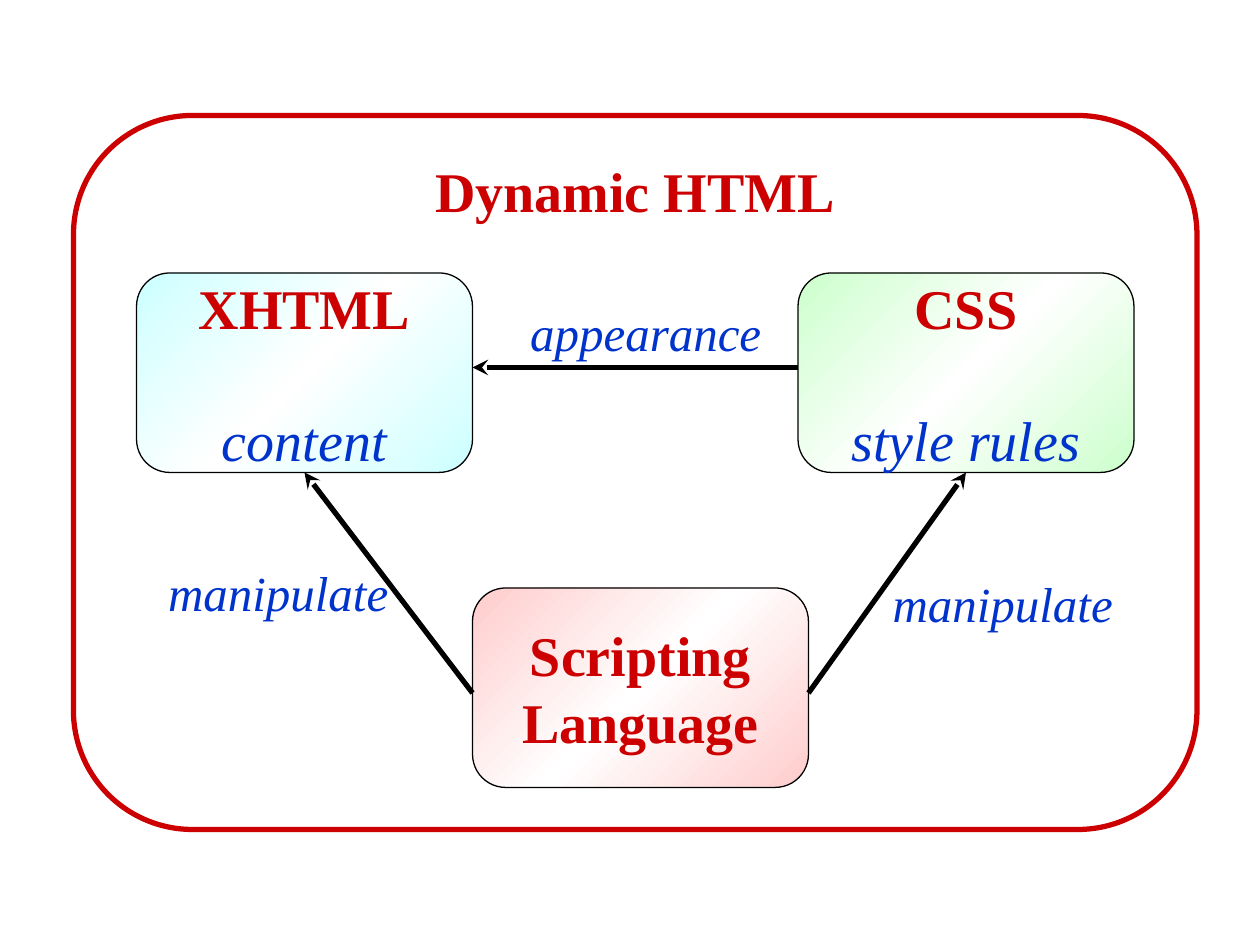
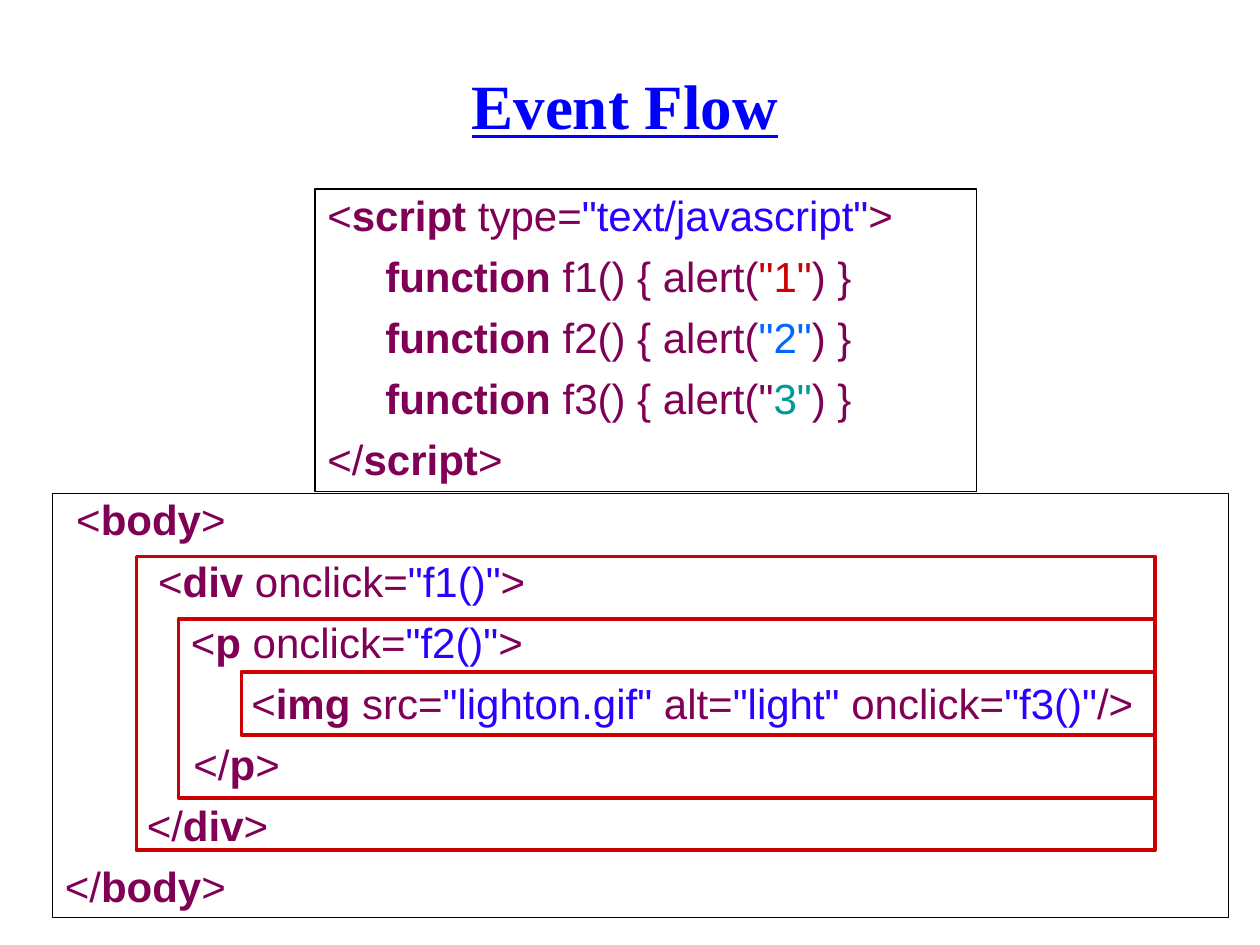
from lxml.etree import SubElement
from pptx import Presentation
from pptx.dml.color import RGBColor
from pptx.enum.shapes import MSO_CONNECTOR, MSO_SHAPE
from pptx.enum.text import MSO_ANCHOR, MSO_AUTO_SIZE, PP_ALIGN
from pptx.oxml.ns import qn
from pptx.util import Inches, Pt

# Colours
BLACK = RGBColor(0x00, 0x00, 0x00)
WHITE = RGBColor(0xFF, 0xFF, 0xFF)
RED = RGBColor(0xCC, 0x00, 0x00)
BLUE = RGBColor(0x00, 0x33, 0xCC)
TITLE = RGBColor(0x00, 0x00, 0xFF)
AQUA = RGBColor(0xCC, 0xFF, 0xFF)
MINT = RGBColor(0xCC, 0xFF, 0xCC)
PINK = RGBColor(0xFF, 0xCC, 0xCC)
PLUM = RGBColor(0x7F, 0x00, 0x55)
QUOTE = RGBColor(0x2A, 0x00, 0xFF)
SKY = RGBColor(0x00, 0x66, 0xFF)
TEAL = RGBColor(0x00, 0x99, 0x99)

# Grid: 120 columns by 90 rows
WIDE, HIGH = Inches(10), Inches(7.5)
COLS, ROWS = 120, 90

# Text formats
SERIF = {"name": "Times New Roman"}
HEAD = {**SERIF, "size": Pt(36), "bold": True, "underline": True, "ink": TITLE}
NAME = {**SERIF, "size": Pt(32), "bold": True, "ink": RED}
ROLE = {**SERIF, "size": Pt(32), "italic": True, "ink": BLUE}
LABEL = {**ROLE, "size": Pt(28)}
CODE = {"name": "Arial", "size": Pt(24), "ink": PLUM}

# Code marks: the first letter of each piece picks its format
MARKS = {
    "c": CODE,
    "b": {**CODE, "bold": True},
    "s": {**CODE, "ink": QUOTE},
    "1": {**CODE, "ink": RED},
    "2": {**CODE, "ink": SKY},
    "3": {**CODE, "ink": TEAL},
}

MID = {"alignment": PP_ALIGN.CENTER}
GAP = {**MID, "space_before": Pt(37)}
ROW = {"line_spacing": 0.9, "space_before": Pt(9)}


def apply(thing, form):
    for key, value in form.items():
        if key == "ink":
            thing.color.rgb = value
        else:
            setattr(thing, key, value)


def code(line):
    """Split a marked line into runs."""
    return [(part[1:], MARKS[part[0]]) for part in line.split("|")]


class Deck:
    def __init__(self):
        self.file = Presentation()
        self.file.slide_width, self.file.slide_height = WIDE, HIGH
        self.slide = None

    def place(self, *cells):
        units = (WIDE / COLS, HIGH / ROWS) * 2
        return [round(n * unit) for n, unit in zip(cells, units)]

    def page(self, title=None):
        layout = self.file.slide_layouts[5 if title else 6]
        self.slide = self.file.slides.add_slide(layout)
        if title:
            head = self.slide.shapes.title
            head.left, head.top, head.width, head.height = self.place(12, 5, 95, 11)
            self.words(head, [([(title, HEAD)], {**MID, "line_spacing": 0.85})],
                       vertical_anchor=MSO_ANCHOR.MIDDLE,
                       auto_size=MSO_AUTO_SIZE.NONE)

    def words(self, shape, lines, **frame):
        """Fill a shape with lines, each a list of runs and a layout."""
        text = shape.text_frame
        apply(text, {"word_wrap": True, **frame})
        for i, (runs, form) in enumerate(lines):
            para = text.paragraphs[0] if i == 0 else text.add_paragraph()
            indent = form.get("indent", 0)
            apply(para, {k: v for k, v in form.items() if k != "indent"})
            if indent:
                para._p.get_or_add_pPr().set("marL", str(Inches(indent)))
            for words, font in runs:
                run = para.add_run()
                run.text = words
                apply(run.font, font)

    def box(self, cells, line, weight, fill=None, kind=MSO_SHAPE.RECTANGLE):
        shape = self.slide.shapes.add_shape(kind, *self.place(*cells))
        shape.shadow.inherit = False
        shape.line.color.rgb, shape.line.width = line, Pt(weight)
        if fill is None:
            shape.fill.background()
        else:
            shape.fill.solid()
            shape.fill.fore_color.rgb = fill
        return shape

    def round(self, *args):
        return self.box(*args, kind=MSO_SHAPE.ROUNDED_RECTANGLE)

    def node(self, left, top, tint, lines):
        """A rounded box with a tint that fades to white in the middle."""
        shape = self.round((left, top, 32, 19), BLACK, 0.75)
        shape.fill.gradient()
        shape.fill.gradient_angle = 135
        stops = shape._element.spPr.find(".//" + qn("a:gsLst"))
        stops.clear()
        for share, shade in ((0, tint), (50, WHITE), (100, tint)):
            stop = SubElement(stops, qn("a:gs"), pos=str(share * 1000))
            SubElement(stop, qn("a:srgbClr"), val=str(shade))
        self.words(shape, lines, word_wrap=False,
                   vertical_anchor=MSO_ANCHOR.MIDDLE)

    def arrow(self, *ends):
        line = self.slide.shapes.add_connector(
            MSO_CONNECTOR.STRAIGHT, *self.place(*ends))
        line.line.color.rgb, line.line.width = BLACK, Pt(3)
        edge = line._element.spPr.find(qn("a:ln"))
        SubElement(edge, qn("a:tailEnd"), type="stealth")
        SubElement(line._element.spPr, qn("a:effectLst"))

    def label(self, left, top, words):
        shape = self.slide.shapes.add_textbox(*self.place(left, top, 25, 6.8))
        self.words(shape, [([(words, LABEL)], {**MID, "space_before": Pt(17.5)})],
                   auto_size=MSO_AUTO_SIZE.SHAPE_TO_FIT_TEXT)

    def listing(self, cells, lines):
        shape = self.box(cells, BLACK, 0.75, WHITE)
        rows = [(code(line), {**ROW, "alignment": PP_ALIGN.LEFT, "indent": indent})
                for indent, line in lines]
        self.words(shape, rows, vertical_anchor=MSO_ANCHOR.TOP)


def model(deck):
    deck.page()

    # Outer frame
    frame = deck.round((7, 11, 107, 68), RED, 3)
    deck.words(frame, [([("Dynamic HTML", NAME)], MID)],
               word_wrap=False, vertical_anchor=MSO_ANCHOR.TOP)

    # Three parts
    for left, tint, name, role in ((13, AQUA, "XHTML", "content"),
                                   (76, MINT, "CSS", "style rules")):
        deck.node(left, 26, tint, [([(name, NAME)], MID), ([(role, ROLE)], GAP)])
    deck.node(45, 56, PINK,
              [([(word, NAME)], MID) for word in ("Scripting", "Language")])

    # Arrows and their labels
    for ends in ((76, 35, 45, 35), (77, 66, 92, 45), (45, 66, 29, 45)):
        deck.arrow(*ends)
    for left, top, words in ((49, 28.2, "appearance"),
                             (83, 54, "manipulate"),
                             (14, 53, "manipulate")):
        deck.label(left, top, words)


def flow(deck):
    deck.page("Event Flow")

    # Script block
    calls = [(0.46, f'bfunction|c f{n}() {{ alert(|{n}"{n}"|c) }}') for n in (1, 2)]
    deck.listing((30, 18, 63, 28.8), [
        (0, 'c<|bscript|c type=|s"text/javascript"|c>'),
        *calls,
        (0.46, 'bfunction|c f3() { alert("|33"|c) }'),
        (0, "c</|bscript|c>"),
    ])

    # Page body
    deck.listing((5, 47, 112, 40.4), [
        (0.09, "c<|bbody|c>"),
        (0.74, 'c<|bdiv|c onclick=|s"f1()"|c>'),
        (1, 'c<|bp|c onclick=|s"f2()"|c>'),
        (1.48, 'c<|bimg|c src=|s"lighton.gif"|c alt=|s"light"'
               '|c onclick=|s"f3()"|c/>'),
        (1.02, "c</|bp|c>"),
        (0.65, "c</|bdiv|c>"),
        (0, "c</|bbody|c>"),
    ])

    # Nested frames share the right edge
    edge = 110
    for left, top, tall in ((13, 53, 28), (17, 59, 17), (23, 64, 6)):
        deck.box((left, top, edge - left, tall), RED, 2.25)


def main():
    deck = Deck()
    model(deck)
    flow(deck)
    deck.file.save("out.pptx")


if __name__ == "__main__":
    main()
